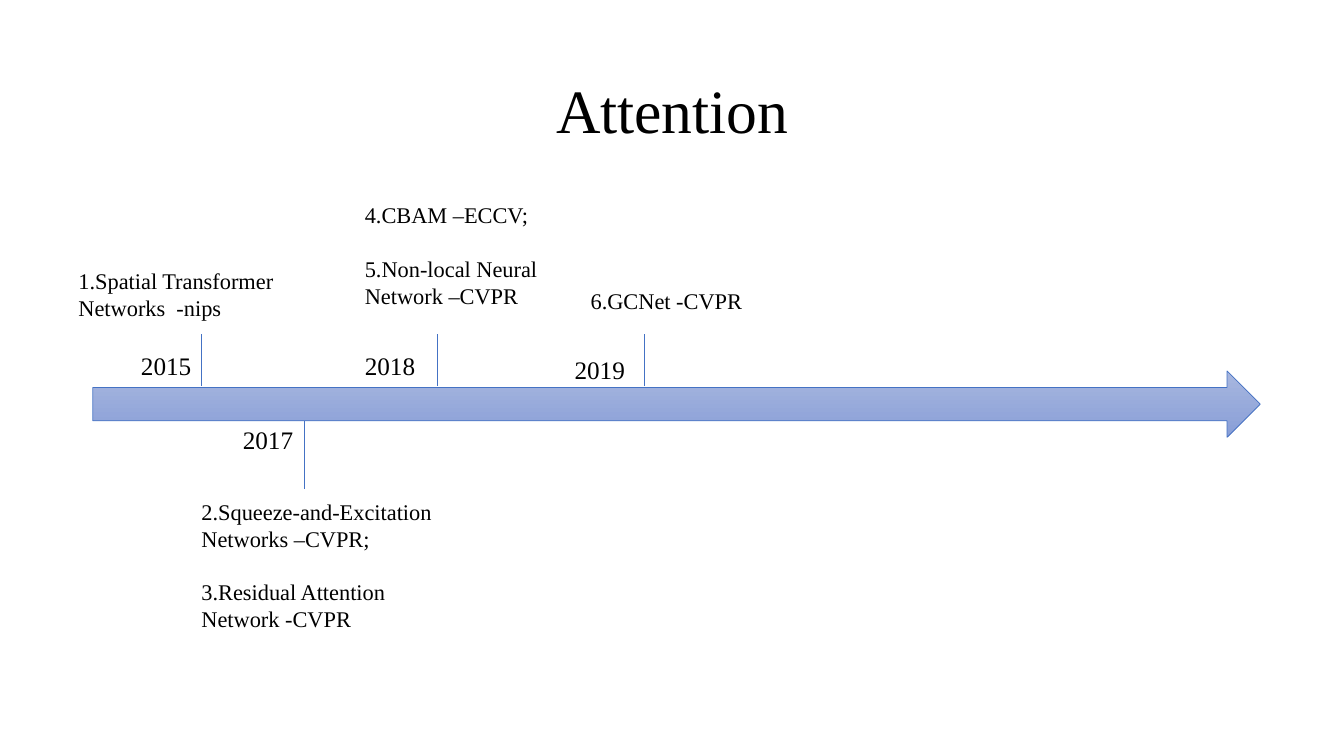
import pptx
import pptx.dml.color
import pptx.enum.shapes
import pptx.enum.text
import pptx.util
from pptx.util import Inches


def rgb(value):
    return pptx.dml.color.RGBColor.from_string(value)


class Timeline:
    FONT = "Times New Roman"
    TEXT, LINE = "000000", "4472C4"
    LINE_WIDTH = pptx.util.Pt(0.5)

    def __init__(self, slide):
        self.s = slide

    def text(self, box, paragraphs, size, anchor="TOP", **paragraph_format):
        sp = self.s.shapes.add_textbox(*map(Inches, box))
        tf = sp.text_frame
        tf.word_wrap = True
        tf.vertical_anchor = pptx.enum.text.MSO_ANCHOR[anchor]
        font = {"name": self.FONT, "size": pptx.util.Pt(size)}
        for i, words in enumerate(paragraphs):
            p = tf.add_paragraph() if i else tf.paragraphs[0]
            if i:
                p.space_before = pptx.util.Pt(19)
            for key, value in paragraph_format.items():
                setattr(p, key, value)
            r = p.add_run()
            r.text = words
            for key, value in font.items():
                setattr(r.font, key, value)
            r.font.color.rgb = rgb(self.TEXT)

    def outline(self, sp):
        sp.line.color.rgb = rgb(self.LINE)
        sp.line.width = self.LINE_WIDTH

    def arrow(self, box, top_color, bottom_color):
        kind = pptx.enum.shapes.MSO_SHAPE.RIGHT_ARROW
        sp = self.s.shapes.add_shape(kind, *map(Inches, box))
        sp.shadow.inherit = False
        sp.fill.gradient()
        sp.fill.gradient_angle = 270
        for stop, color in zip(sp.fill.gradient_stops, (top_color, bottom_color)):
            stop.color.rgb = rgb(color)
        self.outline(sp)

    def tick(self, x, start, end):
        kind = pptx.enum.shapes.MSO_CONNECTOR.STRAIGHT
        sp = self.s.shapes.add_connector(kind, *map(Inches, (x, start, x, end)))
        sp._element.spPr.append(pptx.oxml.parse_xml(
            '<a:effectLst xmlns:a="http://schemas.openxmlformats.org/drawingml/2006/main"/>'))
        self.outline(sp)


def main():
    prs = pptx.Presentation()
    prs.slide_width, prs.slide_height = Inches(13.33), Inches(7.5)
    timeline = Timeline(prs.slides.add_slide(prs.slide_layouts[6]))

    # Title and time axis
    timeline.text((0.92, 0.4, 11.5, 1.45), ["Attention"], 44, "MIDDLE",
                  alignment=pptx.enum.text.PP_ALIGN.CENTER, line_spacing=0.9)
    timeline.arrow((0.92, 3.68, 11.58, 0.66), "A8B7DF", "889ED7")

    # Years: tick x, side of the axis, year box, papers box, papers
    above, below = (3.83, 3.31), (4.18, 4.85)
    years = [
        ("2015", 2.0, above, (1.3, 3.43, 0.93, 0.4), (0.68, 2.6, 2.15, 0.64),
         ["1.Spatial Transformer Networks  -nips"]),
        ("2017", 3.02, below, (2.31, 4.16, 0.72, 0.4), (1.9, 4.89, 2.64, 1.45),
         ["2.Squeeze-and-Excitation Networks –CVPR;",
          "3.Residual Attention Network -CVPR"]),
        ("2018", 4.34, above, (3.52, 3.43, 0.76, 0.4), (3.52, 1.95, 2.15, 1.18),
         ["4.CBAM –ECCV;", "5.Non-local Neural Network –CVPR"]),
        ("2019", 6.39, above, (5.6, 3.47, 0.77, 0.4), (5.76, 2.8, 1.8, 0.37),
         ["6.GCNet -CVPR"]),
    ]
    for year, x, side, year_box, papers_box, papers in years:
        timeline.tick(x, *side)
        timeline.text(papers_box, papers, 16)
        timeline.text(year_box, [year], 18)

    prs.save("out.pptx")


if __name__ == "__main__":
    main()
